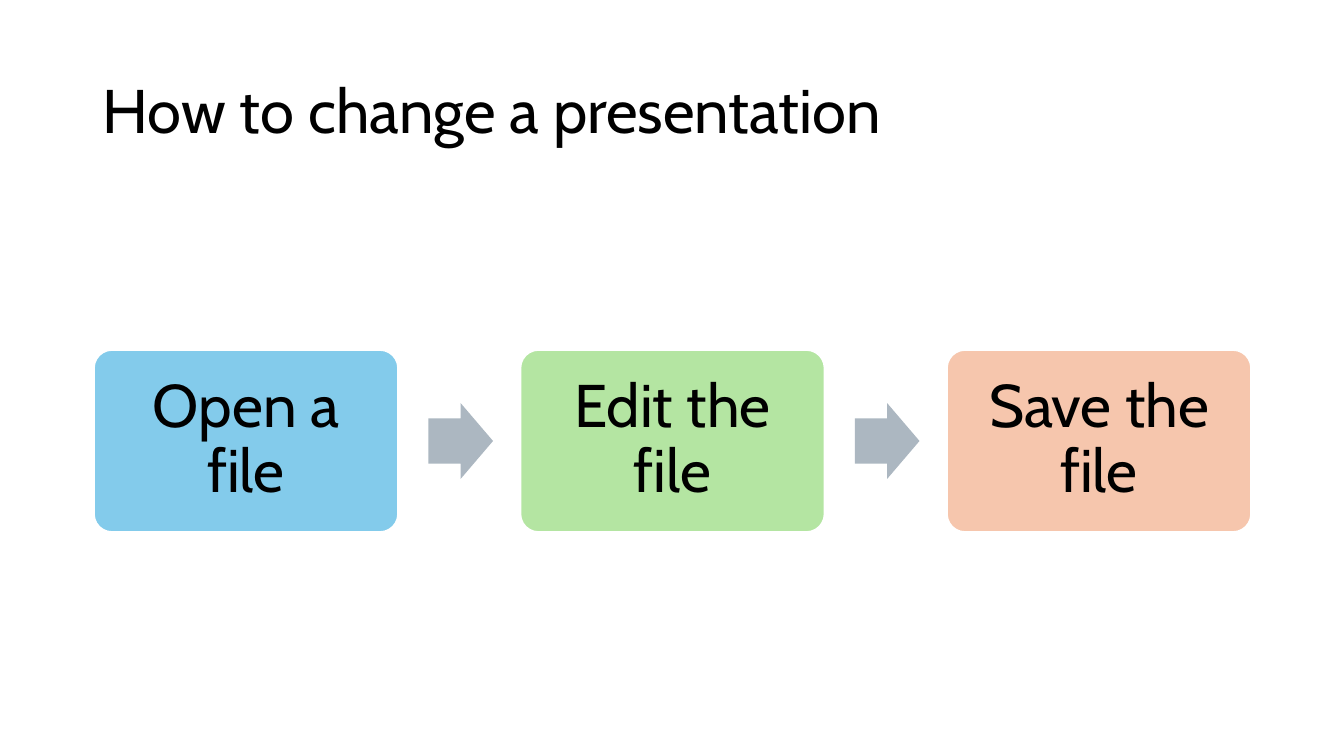
from dataclasses import dataclass

import pptx
import pptx.dml.color
import pptx.enum.shapes
import pptx.enum.text
import pptx.shapes.autoshape
import pptx.slide
import pptx.text.text
import pptx.util

Inches = pptx.util.Inches
RGBColor = pptx.dml.color.RGBColor
Shape = pptx.enum.shapes.MSO_SHAPE

BLACK = RGBColor(0x00, 0x00, 0x00)
WHITE = RGBColor(0xFF, 0xFF, 0xFF)
BLUE = RGBColor(0x83, 0xCB, 0xEB)
GREEN = RGBColor(0xB4, 0xE5, 0xA2)
PEACH = RGBColor(0xF6, 0xC6, 0xAD)
GREY = RGBColor(0xAC, 0xB7, 0xC1)

FONT = "Cabin"
STEP_LEFT, STEP_TOP, STEP_WIDTH, STEP_HEIGHT = 0.93, 3.47, 3.02, 1.81
STEP_PITCH = 4.23
STEP_INSET = Inches(0.18)
ARROW_OFFSET, ARROW_WIDTH, ARROW_HEIGHT = 3.32, 0.64, 0.75


@dataclass(frozen=True)
class Step:
    label: str
    color: RGBColor


STEPS = [
    Step("Open a file", BLUE),
    Step("Edit the file", GREEN),
    Step("Save the file", PEACH),
]


def write_text(
    frame: pptx.text.text.TextFrame,
    text: str,
    size: float,
    align: pptx.enum.text.PP_ALIGN,
) -> None:
    frame.word_wrap = True
    frame.vertical_anchor = pptx.enum.text.MSO_ANCHOR.MIDDLE
    para = frame.paragraphs[0]
    para.text = text
    para.alignment = align
    para.line_spacing = 0.9
    font = para.runs[0].font
    font.name = FONT
    font.size = pptx.util.Pt(size)
    font.color.rgb = BLACK


def add_filled(
    page: pptx.slide.Slide,
    kind: pptx.enum.shapes.MSO_SHAPE,
    left: float,
    width: float,
    height: float,
    color: RGBColor,
) -> pptx.shapes.autoshape.Shape:
    top = STEP_TOP + (STEP_HEIGHT - height) / 2
    shape = page.shapes.add_shape(
        kind, Inches(left), Inches(top), Inches(width), Inches(height)
    )
    shape.shadow.inherit = False
    shape.fill.solid()
    shape.fill.fore_color.rgb = color
    shape.line.fill.background()
    return shape


def add_step(page: pptx.slide.Slide, step: Step, left: float) -> None:
    box = add_filled(
        page, Shape.ROUNDED_RECTANGLE, left, STEP_WIDTH, STEP_HEIGHT, step.color
    )
    box.adjustments[0] = 0.1
    box.line.color.rgb = WHITE
    box.line.width = pptx.util.Pt(1.5)
    frame = box.text_frame
    frame.margin_left = frame.margin_right = STEP_INSET
    frame.margin_top = frame.margin_bottom = STEP_INSET
    write_text(frame, step.label, 43, pptx.enum.text.PP_ALIGN.CENTER)


def add_arrow(page: pptx.slide.Slide, left: float) -> None:
    arrow = add_filled(
        page, Shape.RIGHT_ARROW, left, ARROW_WIDTH, ARROW_HEIGHT, GREY
    )
    arrow.adjustments[0] = 0.6
    arrow.adjustments[1] = 0.5


def main() -> None:
    deck = pptx.Presentation()
    deck.slide_width = Inches(13.33)
    deck.slide_height = Inches(7.5)
    page = deck.slides.add_slide(deck.slide_layouts[6])

    title = page.shapes.add_textbox(
        Inches(0.92), Inches(0.4), Inches(11.5), Inches(1.45)
    )
    write_text(
        title.text_frame,
        "How to change a presentation",
        44,
        pptx.enum.text.PP_ALIGN.LEFT,
    )

    for index, step in enumerate(STEPS):
        left = STEP_LEFT + index * STEP_PITCH
        add_step(page, step, left)
        if index < len(STEPS) - 1:
            add_arrow(page, left + ARROW_OFFSET)

    deck.save("out.pptx")


if __name__ == "__main__":
    main()
